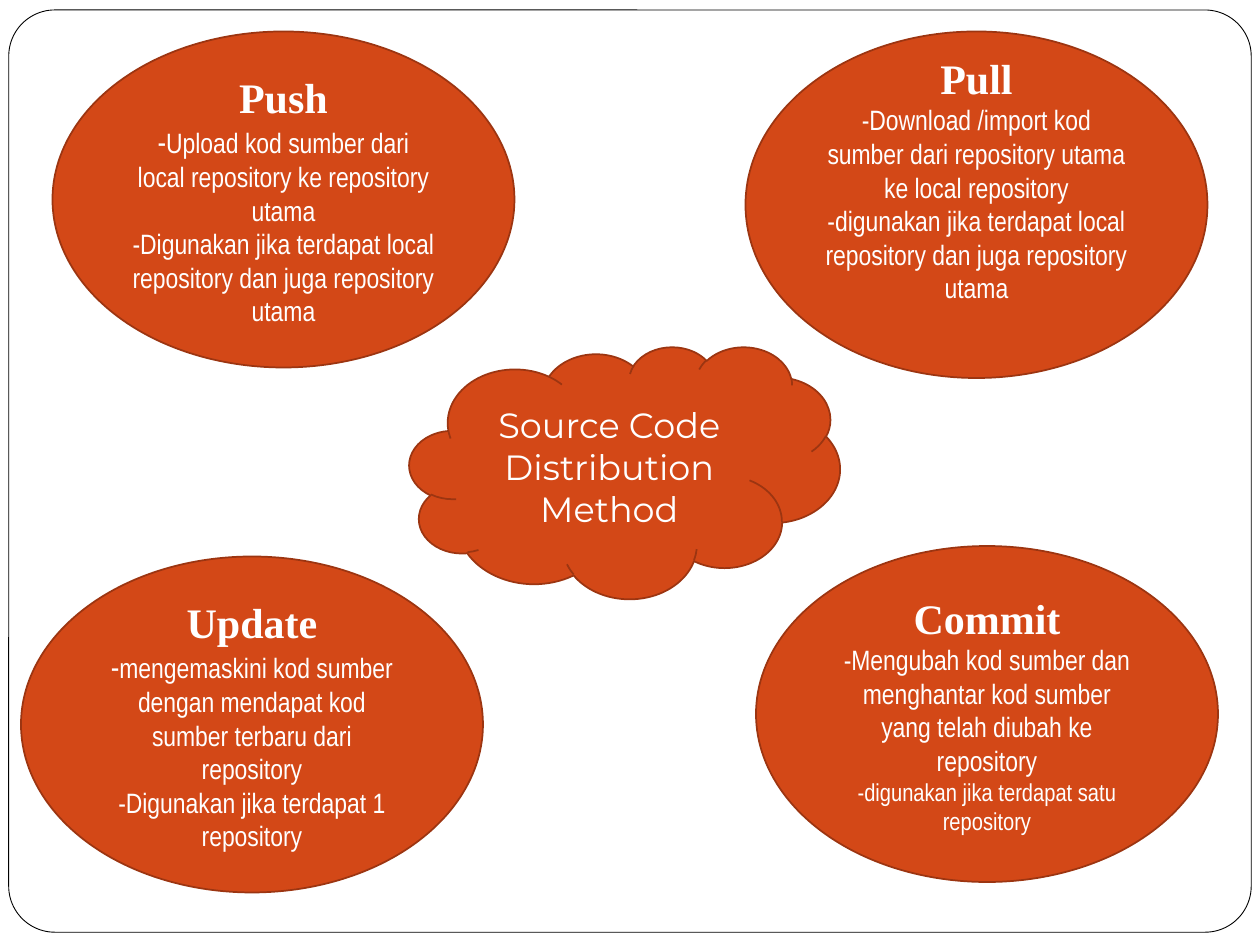
"""Build a slide of four source code operations around a central cloud."""
import copy
from dataclasses import dataclass

import pptx
import pptx.dml.color
import pptx.enum.shapes
import pptx.enum.text
import pptx.shapes.autoshape
import pptx.util

Pt = pptx.util.Pt
RGBColor = pptx.dml.color.RGBColor
Shape = pptx.enum.shapes.MSO_SHAPE

WHITE = RGBColor(0xFF, 0xFF, 0xFF)
BLACK = RGBColor(0x00, 0x00, 0x00)
ORANGE = RGBColor(0xD3, 0x48, 0x17)
RUST = RGBColor(0x9C, 0x35, 0x11)
BODY_FONT = "Arial Narrow"


@dataclass(frozen=True)
class Span:
    text: str
    size: float = 16
    font: str = BODY_FONT
    bold: bool = False


@dataclass(frozen=True)
class Bubble:
    left: float
    top: float
    lines: tuple[tuple[Span, ...], ...]
    width: float = 264
    height: float = 192
    kind: Shape = Shape.OVAL
    bottom_inset: float = 3.6


def heading(text: str) -> tuple[Span, ...]:
    return (Span(text, 24, "Times New Roman", True),)


BUBBLES = (
    Bubble(234, 198, ((Span("Source Code Distribution Method", 20, "Montserrat"),),),
           246, 144, Shape.CLOUD),
    Bubble(30, 18, (
        heading("Push"),
        (Span("-", 18), Span("Upload kod sumber dari local repository ke repository utama")),
        (Span("-Digunakan jika terdapat local repository dan juga repository utama"),),
    )),
    Bubble(426, 18, (
        heading("Pull"),
        (Span("-Download /import kod sumber dari repository utama ke local repository"),),
        (Span("-digunakan jika terdapat local repository dan juga repository utama"),),
    ), height=198, bottom_inset=33.6),
    Bubble(432, 312, (
        heading("Commit"),
        (Span("-Mengubah kod sumber dan menghantar kod sumber yang telah diubah ke repository"),),
        (Span("-digunakan jika terdapat satu repository", 14),),
    )),
    Bubble(12, 318, (
        heading("Update"),
        (Span("-", 18), Span("mengemaskini kod sumber dengan mendapat kod sumber terbaru dari repository")),
        (Span("-Digunakan jika terdapat 1 repository"),),
    )),
)


def add_outline(s, kind: Shape, box: tuple[float, ...], fill: RGBColor,
                line: RGBColor, weight: float) -> pptx.shapes.autoshape.Shape:
    sp = s.shapes.add_shape(kind, *(Pt(v) for v in box))
    sp.shadow.inherit = False
    sp.fill.solid()
    sp.fill.fore_color.rgb = fill
    sp.line.color.rgb = line
    sp.line.width = Pt(weight)
    return sp


def add_bubble(s, bubble: Bubble) -> None:
    box = (bubble.left, bubble.top, bubble.width, bubble.height)
    sp = add_outline(s, bubble.kind, box, ORANGE, RUST, 1)
    tf = sp.text_frame
    tf.word_wrap = True
    tf.vertical_anchor = pptx.enum.text.MSO_ANCHOR.MIDDLE
    tf.margin_bottom = Pt(bubble.bottom_inset)
    p = tf.paragraphs[0]
    p.alignment = pptx.enum.text.PP_ALIGN.CENTER
    for i, line in enumerate(bubble.lines):
        if i:
            p.add_line_break()
            p._p[-1].append(copy.deepcopy(r._r.rPr))
        for span in line:
            r = p.add_run()
            r.text = span.text
            r.font.size = Pt(span.size)
            r.font.name = span.font
            r.font.bold = span.bold
            r.font.color.rgb = WHITE


prs = pptx.Presentation()
prs.slide_width, prs.slide_height = Pt(720), Pt(540)
s = prs.slides.add_slide(prs.slide_layouts[6])
frame = add_outline(s, Shape.ROUNDED_RECTANGLE, (5, 5.7, 710, 527), WHITE, BLACK, 0.5)
frame.adjustments[0] = 0.05
for bubble in BUBBLES:
    add_bubble(s, bubble)
prs.save("out.pptx")
